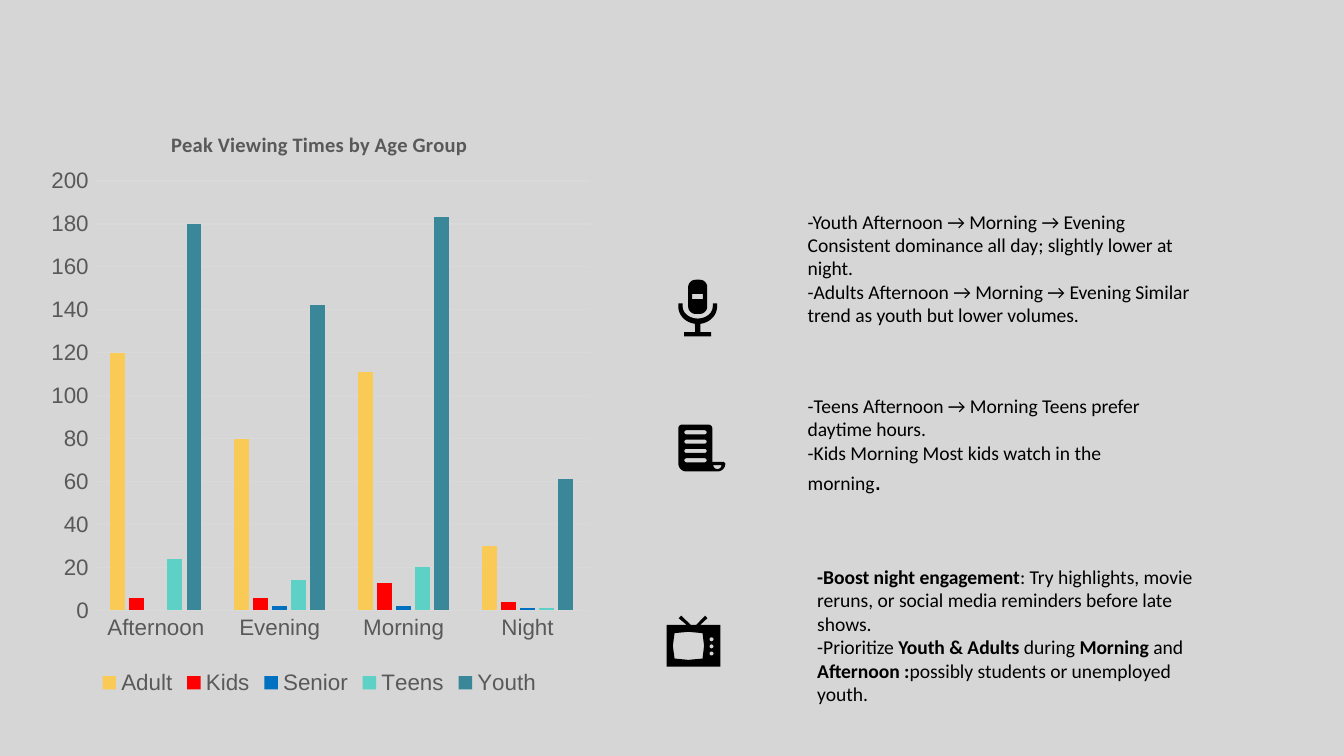
"""Build a slide on peak viewing times by age group."""
from math import cos, radians, sin

from lxml.etree import SubElement
from pptx import Presentation
from pptx.chart.data import CategoryChartData
from pptx.dml.color import RGBColor
from pptx.enum.chart import XL_CHART_TYPE, XL_LEGEND_POSITION, XL_TICK_MARK
from pptx.enum.text import MSO_ANCHOR
from pptx.oxml.ns import qn
from pptx.util import Pt

BLACK = RGBColor(0x00, 0x00, 0x00)
BACK = RGBColor(0xD6, 0xD6, 0xD6)
GREY = RGBColor(0x59, 0x59, 0x59)
PALE = RGBColor(0xD9, 0xD9, 0xD9)
GOLD = RGBColor(0xF9, 0xCA, 0x55)
RED = RGBColor(0xFF, 0x00, 0x00)
BLUE = RGBColor(0x00, 0x70, 0xC0)
MINT = RGBColor(0x5E, 0xD1, 0xC6)
TEAL = RGBColor(0x3A, 0x87, 0x99)


def arc(x, y, wide, high, start, end):
    turns = [radians(start + (end - start) * i / 12) for i in range(13)]
    return [(x + wide * cos(t), y + high * sin(t)) for t in turns]


def draw(shapes, loops):
    pen = None
    for loop in loops:
        spots = [(Pt(x), Pt(y)) for x, y in loop]
        if pen is None:
            pen = shapes.build_freeform(*spots[0], scale=1.0)
        else:
            pen.move_to(*spots[0])
        pen.add_line_segments(spots[1:], close=True)
    icon = pen.convert_to_shape()
    icon.shadow.inherit = False
    icon.fill.solid()
    icon.fill.fore_color.rgb = BLACK
    icon.line.fill.background()


deck = Presentation()
deck.slide_width, deck.slide_height = Pt(720), Pt(405)
slide = deck.slides.add_slide(deck.slide_layouts[6])
slide.background.fill.solid()
slide.background.fill.fore_color.rgb = BACK

notes = [
    ((421.9, 105.8, 238.3, 88.6), 20, [
        [("-Youth Afternoon → Morning → Evening Consistent dominance all day; "
          "slightly lower at night.", False)],
        [("-Adults Afternoon → Morning → Evening Similar trend as youth but "
          "lower volumes.", False)]]),
    ((427, 275.8, 236.9, 128.9), 7.2, [
        [("-Boost night engagement", True),
         (": Try highlights, movie reruns, or social media reminders before "
          "late shows.", False)],
        [("-Prioritize ", False), ("Youth & Adults", True),
         (" during ", False), ("Morning ", True), ("and ", False),
         ("Afternoon :", True),
         ("possibly students or unemployed youth.", False)]]),
    ((421.9, 205.9, 214.6, 64.8), 7.2, [
        [("-Teens Afternoon → Morning Teens prefer daytime hours.", False)],
        [("-Kids Morning Most kids watch in the morning", False),
         (".", False)]]),
]
for place, base, lines in notes:
    frame = slide.shapes.add_textbox(*map(Pt, place)).text_frame
    frame.word_wrap = True
    frame.vertical_anchor = MSO_ANCHOR.MIDDLE
    frame.margin_left = frame.margin_right = Pt(10.8)
    frame.margin_top, frame.margin_bottom = Pt(7.2), Pt(base)
    for i, line in enumerate(lines):
        para = frame.add_paragraph() if i else frame.paragraphs[0]
        for words, bold in line:
            run = para.add_run()
            run.text = words
            run.font.name, run.font.size = "Calibri", Pt(10.5)
            run.font.bold = bold
            run.font.color.rgb = BLACK
run.font.name, run.font.size = "Arial", Pt(14)

knobs = [arc(381.2, 342.5 + 3.8 * i, 1.1, 1.1, 0, 360) for i in range(3)]
screen = [(361.4, 339.2), (368.8, 338.5), (376.4, 339.2), (377.2, 346),
          (376.4, 352.8), (368.8, 353.5), (361.4, 352.8), (360.5, 346)]
case = [(365, 329.8), (363.6, 331.2), (367.9, 334.8), (357.1, 334.8),
        (357.1, 357.1), (385.9, 357.1), (385.9, 334.8), (375.1, 334.8),
        (379, 331.2), (377.8, 329.8), (373, 334.8), (370.1, 334.8)]
draw(slide.shapes, [case, screen, *knobs])

mic = slide.shapes.add_group_shape().shapes
stand = [(363.4, 162.5), *arc(373.8, 164.2, 10.4, 9.4, 180, 98),
         (372.4, 178), (366.6, 178), (366.6, 180.2), (381, 180.2),
         (381, 178), (375.2, 178), *arc(373.8, 164.2, 10.4, 9.4, 82, 0),
         (384.2, 162.5), (381.9, 162.5),
         *arc(373.8, 164.2, 8.1, 6.5, 0, 180), (365.7, 162.5)]
head = (arc(372.7, 153.9, 4, 4, 180, 270) + arc(374.9, 153.9, 4, 4, 270, 360)
        + arc(374.9, 164.2, 4, 4, 0, 90) + arc(372.7, 164.2, 4, 4, 90, 180))
slit = [(370.8, 157.5), (376.6, 157.5), (376.6, 160.3), (370.8, 160.3)]
draw(mic, [stand])
draw(mic, [head, slit])

sheet = (arc(365.4, 229.5, 2, 2, 180, 270) + arc(379.6, 229.5, 2, 2, 270, 360)
         + [(381.6, 247.5), (387.8, 247.5)]
         + arc(384.3, 248.3, 4.3, 4.3, 0, 90)
         + arc(367.7, 248.3, 4.3, 4.3, 90, 180))
curl = arc(384.3, 249.2, 2.2, 2.1, 0, 180)
bars = [arc(377.5, 231.6 + 5 * i, 1.1, 1.1, -90, 90)
        + arc(367.7, 231.6 + 5 * i, 1.1, 1.1, 90, 270) for i in range(4)]
draw(slide.shapes, [sheet, curl, *bars])

groups = [("Adult", (120, 80, 111, 30), GOLD), ("Kids", (6, 6, 13, 4), RED),
          ("Senior", (None, 2, 2, 1), BLUE), ("Teens", (24, 14, 20, 1), MINT),
          ("Youth", (180, 142, 183, 61), TEAL)]
data = CategoryChartData()
data.categories = ["Afternoon", "Evening", "Morning", "Night"]
for name, views, tint in groups:
    data.add_series(name, views)
chart = slide.shapes.add_chart(
    XL_CHART_TYPE.COLUMN_CLUSTERED, Pt(20.2), Pt(55.4), Pt(301.7), Pt(319.7),
    data).chart
chart.font.name, chart.font.size = "Arial", Pt(10)
chart.font.color.rgb = BLACK

chart.has_title = True
title = chart.chart_title
title.include_in_layout = False
para = title.text_frame.paragraphs[0]
para.text = "Peak Viewing Times by Age Group"
font = para.runs[0].font
font.name, font.size, font.bold = "Calibri", Pt(11), True
font.color.rgb = GREY

plot = chart.plots[0]
plot.gap_width, plot.overlap, plot.vary_by_categories = 219, -27, False
for bar, (name, views, tint) in zip(plot.series, groups):
    bar.format.fill.solid()
    bar.format.fill.fore_color.rgb = tint
    bar.invert_if_negative = False

chart.has_legend = True
chart.legend.position = XL_LEGEND_POSITION.BOTTOM
chart.legend.include_in_layout = False
cats, scale = chart.category_axis, chart.value_axis
for font in (chart.legend.font, cats.tick_labels.font, scale.tick_labels.font):
    font.name, font.size = "Arial", Pt(12)
    font.color.rgb = GREY
for axis in (cats, scale):
    axis.major_tick_mark = axis.minor_tick_mark = XL_TICK_MARK.NONE
scale.minimum_scale, scale.maximum_scale, scale.major_unit = 0, 200, 20
scale.format.line.fill.background()
for line in (cats.format.line, scale.major_gridlines.format.line):
    line.color.rgb, line.width = PALE, Pt(0.75)

area = chart._chartSpace.chart.plotArea
inner = {"layoutTarget": "inner", "xMode": "edge", "yMode": "edge",
         "x": 0.1, "y": 0.13, "w": 0.88, "h": 0.72}
outer = {"xMode": "edge", "yMode": "edge", "x": 0.23, "y": 0.04}
for owner, spot, rules in ((area, 0, inner), (title._element, 1, outer)):
    for old in owner.findall(qn("c:layout")):
        owner.remove(old)
    layout = SubElement(owner, qn("c:layout"))
    owner.insert(spot, layout)
    manual = SubElement(layout, qn("c:manualLayout"))
    for key, value in rules.items():
        SubElement(manual, qn("c:" + key)).set("val", str(value))

deck.save("out.pptx")
